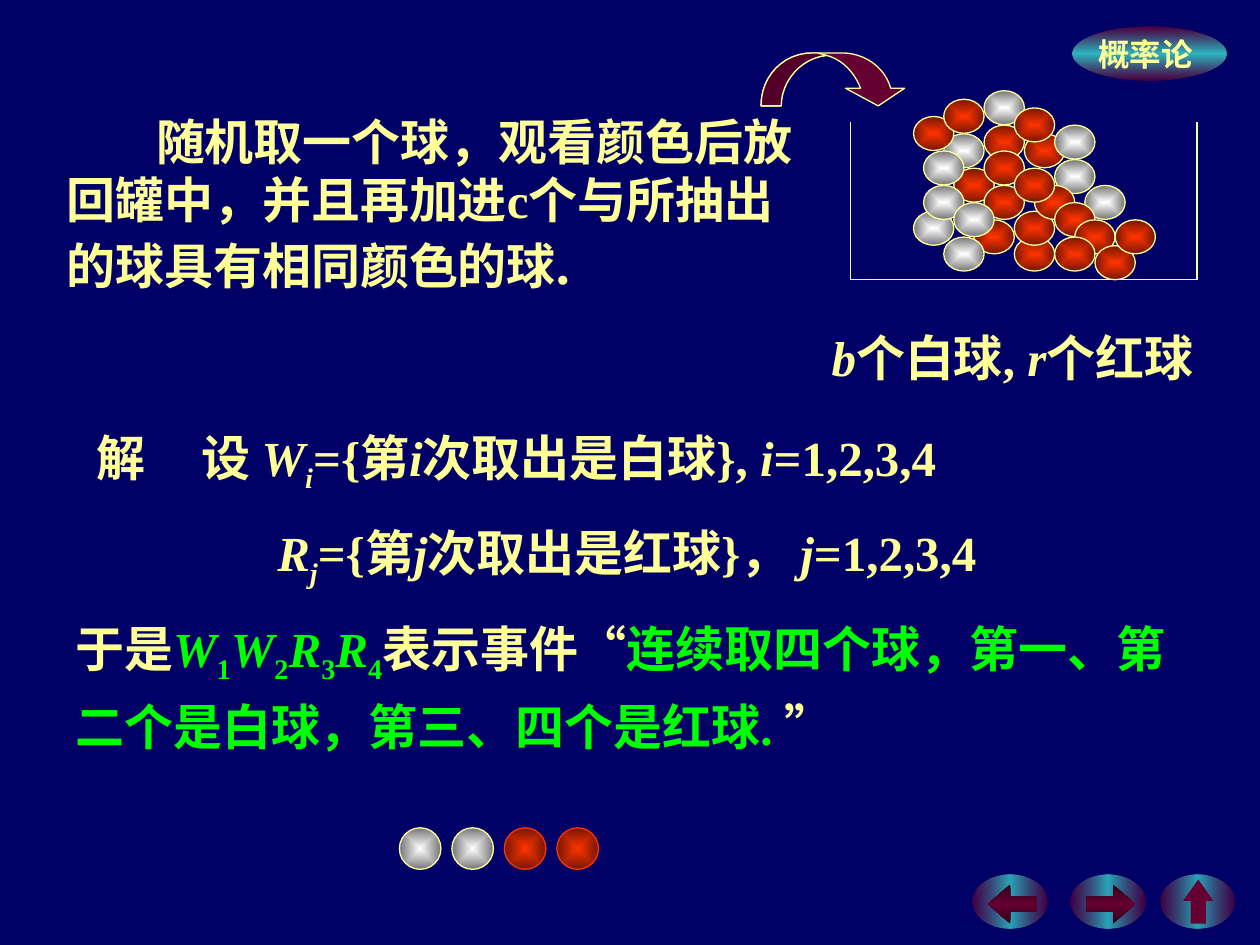
from lxml import etree
from pptx import Presentation
from pptx.dml.color import RGBColor
from pptx.enum import shapes as kinds, text as txt
from pptx.oxml.ns import qn
from pptx.util import Inches, Pt

THEME = {
    "font": "Times New Roman", "body": 28, "badge": 18, "stop": 32, "line": 0.75,
    "back": "000066", "cream": "FFFF99", "green": "00FF00",
    "maroon": "660033", "shade": "52002A", "dark": "2F0017", "teal": "33CCCC",
    "white": ("FFFFFF", "757575"), "red": ("FF3300", "751700"),
}

# Content: runs are (text, marks); i italic, _ subscript, g green, + larger, > wide gap after
BADGE = [("概率论 ", "")]
RULE = [("随机取一个球，观看颜色后放回罐中，并且再加进c个与所抽出的球具有相同颜色的球", ""),
        (".", "+")]
JAR_LABEL = [("b", "i"), ("个白球, ", ""), ("r", "i"), ("个红球", "")]
WHITE_EVENT = [("解", ">"), ("设 ", ""), ("W", "i"), ("i", "i_"), ("={第", ""), ("i", "i"),
               ("次取出是白球}, ", ""), ("i", "i"), ("=1,2,3,4", "")]
RED_EVENT = [("R", "i"), ("j", "i_"), ("={第", ""), ("j", "i"),
             ("次取出是红球}， ", ""), ("j", "i"), ("=1,2,3,4", "")]
RESULT = [("于是", ""),
          *[run for letter, n in ("W1", "W2", "R3", "R4")
            for run in ((letter, "gi"), (n, "g_"))],
          ("表示事件“", ""), ("连续取四个球，第一、第二个是白球，第三、四个是红球. ", "g"),
          ("”", "")]
DRAWN_BALLS = ["white", "white", "red", "red"]

# Balls in the jar, back to front: (colour, (column, row) ...)
JAR_BALLS = [
    ("red", (6, 15), (10, 17), (10, 14)),
    ("white", (3, 17), (17, 11), (14, 8)),
    ("red", (4, 9), (7, 11), (12, 11), (7, 4), (7, 7), (11, 5)),
    ("white", (3, 5), (7, 0), (14, 4)),
    ("red", (0, 3), (3, 1), (10, 2), (14, 13), (16, 15), (10, 9),
     (14, 17), (18, 18), (20, 15)),
    ("white", (0, 14), (1, 7), (1, 11), (4, 13)),
]
JAR = {"left": 6.75, "right": 9.5, "top": 0.97, "bottom": 2.22}

# Curved arrow: a point, or three points for a Bezier segment
TAIL_START = [[(6.04, 0.84)], [(6.04, 0.6), (6.22, 0.42), (6.45, 0.42)]]
TAIL_END = [[(6.56, 0.44)], [(6.36, 0.46), (6.2, 0.64), (6.2, 0.84)]]
HEAD = [[(6.68, 0.42)], [(6.86, 0.42), (7.02, 0.53), (7.07, 0.7)], [(7.18, 0.7)],
        [(6.97, 0.84)], [(6.71, 0.7)], [(6.83, 0.7)],
        [(6.78, 0.57), (6.68, 0.47), (6.56, 0.44)]]
ARROW = TAIL_START + HEAD + TAIL_END
ARROW_TAIL = TAIL_START + [[(6.49, 0.42)]] + TAIL_END

prs = Presentation()
prs.slide_width, prs.slide_height = Inches(10), Inches(7.5)
slide = prs.slides.add_slide(prs.slide_layouts[6])
slide.background.fill.solid()
slide.background.fill.fore_color.rgb = RGBColor.from_string(THEME["back"])
SHAPE = kinds.MSO_SHAPE


def set_line(part, color):
    part.line.color.rgb = RGBColor.from_string(color)
    part.line.width = Pt(THEME["line"])


def set_solid(part, color):
    part.fill.solid()
    part.fill.fore_color.rgb = RGBColor.from_string(color)


def set_gradient(part, stops, angle=None, turns=True):
    """Stops are (percent, colour, alpha); without an angle it runs from the centre."""
    part.fill.gradient()
    grad = part._element.spPr.find(qn("a:gradFill"))
    for child in list(grad):
        grad.remove(child)
    grad.set("rotWithShape", str(int(turns)))
    stop_list = etree.SubElement(grad, qn("a:gsLst"))
    for position, color, alpha in stops:
        stop = etree.SubElement(stop_list, qn("a:gs"), pos=str(position * 1000))
        rgb = etree.SubElement(stop, qn("a:srgbClr"), val=color)
        if alpha < 100:
            etree.SubElement(rgb, qn("a:alpha"), val=str(alpha * 1000))
    if angle is None:
        centre = etree.SubElement(grad, qn("a:path"), path="rect")
        etree.SubElement(centre, qn("a:fillToRect"), **dict.fromkeys("ltrb", "50000"))
    else:
        etree.SubElement(grad, qn("a:lin"), ang=str(angle * 60000), scaled="1")


def add_preset(kind, *box):
    part = slide.shapes.add_shape(kind, *map(Inches, box))
    part.shadow.inherit = False
    part.line.fill.background()
    return part


def add_ball(color, outline, *box):
    ball = add_preset(SHAPE.OVAL, *box)
    bright, dim = THEME[color]
    set_gradient(ball, [(0, bright, 100), (100, dim, 100)])
    set_line(ball, outline)


def fill_text(frame, runs, size=THEME["body"], center=False, wrap=True, spacing=None,
              indent=0, anchor=txt.MSO_ANCHOR.MIDDLE):
    frame.word_wrap = wrap
    frame.vertical_anchor = anchor
    para = frame.paragraphs[0]
    para.alignment = txt.PP_ALIGN.CENTER if center else txt.PP_ALIGN.LEFT
    if spacing:
        para.line_spacing = spacing
    if indent:
        props = para._p.get_or_add_pPr()
        props.set("marL", "0")
        props.set("indent", str(Inches(indent)))
    para.font.name, para.font.size, para.font.bold = THEME["font"], Pt(size), True
    para.font.color.rgb = RGBColor.from_string(THEME["cream"])
    for words, marks in runs:
        run = para.add_run()
        run.text = words
        if "i" in marks:
            run.font.italic = True
        if "_" in marks:
            run.font._element.set("baseline", "-25000")
        if ">" in marks:
            run.font._element.set("spc", "3200")
        if "g" in marks:
            run.font.color.rgb = RGBColor.from_string(THEME["green"])
        if "+" in marks:
            run.font.size = Pt(THEME["stop"])


def add_text(runs, *box, **style):
    frame = slide.shapes.add_textbox(*map(Inches, box)).text_frame
    fill_text(frame, runs, **style)
    frame.auto_size = txt.MSO_AUTO_SIZE.SHAPE_TO_FIT_TEXT


def add_curve(segments, color, steps=12):
    points = []
    for segment in segments:
        if len(segment) == 1:
            points += segment
            continue
        corners = [points[-1], *segment]
        for t in (n / steps for n in range(1, steps + 1)):
            weights = ((1 - t) ** 3, 3 * t * (1 - t) ** 2, 3 * t * t * (1 - t), t ** 3)
            points.append(tuple(sum(w * c[axis] for w, c in zip(weights, corners))
                                for axis in (0, 1)))
    start, *others = [(Inches(x), Inches(y)) for x, y in points]
    outline = slide.shapes.build_freeform(*start)
    outline.add_line_segments(others, close=True)
    curve = outline.convert_to_shape()
    curve.shadow.inherit = False
    set_solid(curve, color)
    set_line(curve, THEME["cream"])


def glow(edge, middle):
    return [(0, THEME["maroon"], edge), (50, THEME["teal"], middle),
            (100, THEME["maroon"], edge)]


# Course badge
badge = add_preset(SHAPE.OVAL, 8.51, 0.21, 1.22, 0.43)
set_gradient(badge, glow(73, 89), 90)
fill_text(badge.text_frame, BADGE, size=THEME["badge"], center=True, wrap=False)

# Navigation buttons
for button_left, kind, box, adjust in (
        (7.8, SHAPE.LEFT_ARROW, (7.84, 7.02, 0.39, 0.31), (0.36, 0.57)),
        (8.58, SHAPE.RIGHT_ARROW, (8.62, 7.02, 0.39, 0.31), (0.36, 0.57)),
        (9.29, SHAPE.UP_ARROW, (9.39, 6.98, 0.24, 0.35), (0.5, 0.71))):
    button = add_preset(SHAPE.OVAL, button_left, 6.86, 0.43, 0.59)
    button.rotation = 270
    set_gradient(button, glow(62, 81), 180, turns=False)
    pointer = add_preset(kind, *box)
    pointer.adjustments[0], pointer.adjustments[1] = adjust
    if kind == SHAPE.UP_ARROW:
        set_solid(pointer, THEME["maroon"])
    else:
        set_gradient(pointer, [(0, THEME["dark"], 100), (50, THEME["maroon"], 100),
                               (100, THEME["dark"], 100)], 90)

# Four drawn balls
for n, color in enumerate(DRAWN_BALLS):
    outline_color = THEME["cream"] if color == "white" else THEME["red"][0]
    add_ball(color, outline_color, 3.17 + n * 1.25 / 3, 6.57, 0.33, 0.33)

add_text(RESULT, 0.5, 4.75, 8.9, 1.3, spacing=1.2)

# Jar with its balls and label
for color, *cells in JAR_BALLS:
    for column, row in cells:
        add_ball(color, THEME["cream"], 7.25 + column * 0.08, 0.72 + row * 1.23 / 18,
                 0.32, 0.27)
add_text(JAR_LABEL, 6.36, 2.55, 3.35, 0.57, center=True, wrap=False)
left, right, top, bottom = (JAR[side] for side in ("left", "right", "top", "bottom"))
for ends in ((left, top, left, bottom), (right, top, right, bottom),
             (left, bottom, right, bottom)):
    wall = slide.shapes.add_connector(kinds.MSO_CONNECTOR.STRAIGHT, *map(Inches, ends))
    set_line(wall, THEME["cream"])
    etree.SubElement(wall._element.spPr, qn("a:effectLst"))

# Arrow into the jar
add_curve(ARROW, THEME["maroon"])
add_curve(ARROW_TAIL, THEME["shade"])

# Rule and event definitions
add_text(RULE, 0.43, 0.83, 6.15, 1.57, indent=0.71)
add_text(WHITE_EVENT, 0.58, 3.29, 8.83, 0.69, spacing=1.1, indent=0.09,
         anchor=txt.MSO_ANCHOR.TOP)
add_text(RED_EVENT, 1.82, 4.04, 6.31, 0.69, center=True, wrap=False, spacing=1.1)

prs.save("out.pptx")
